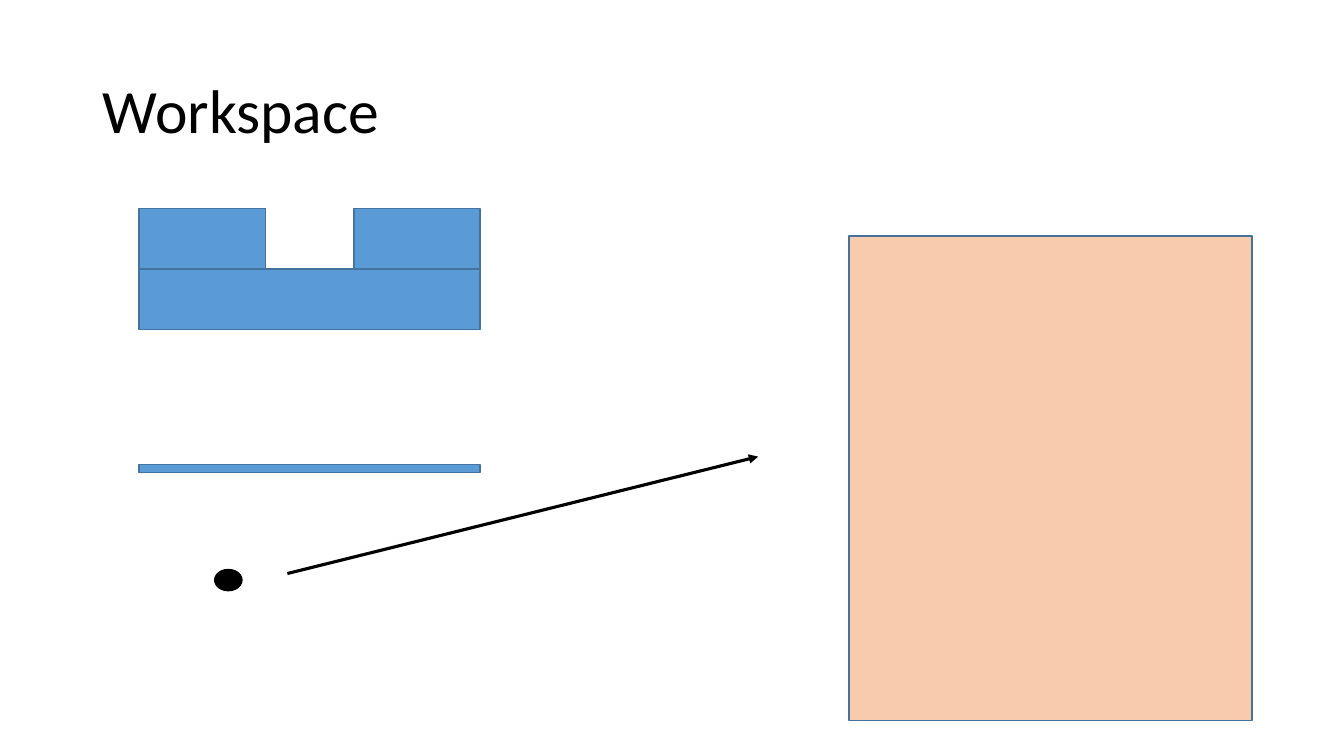
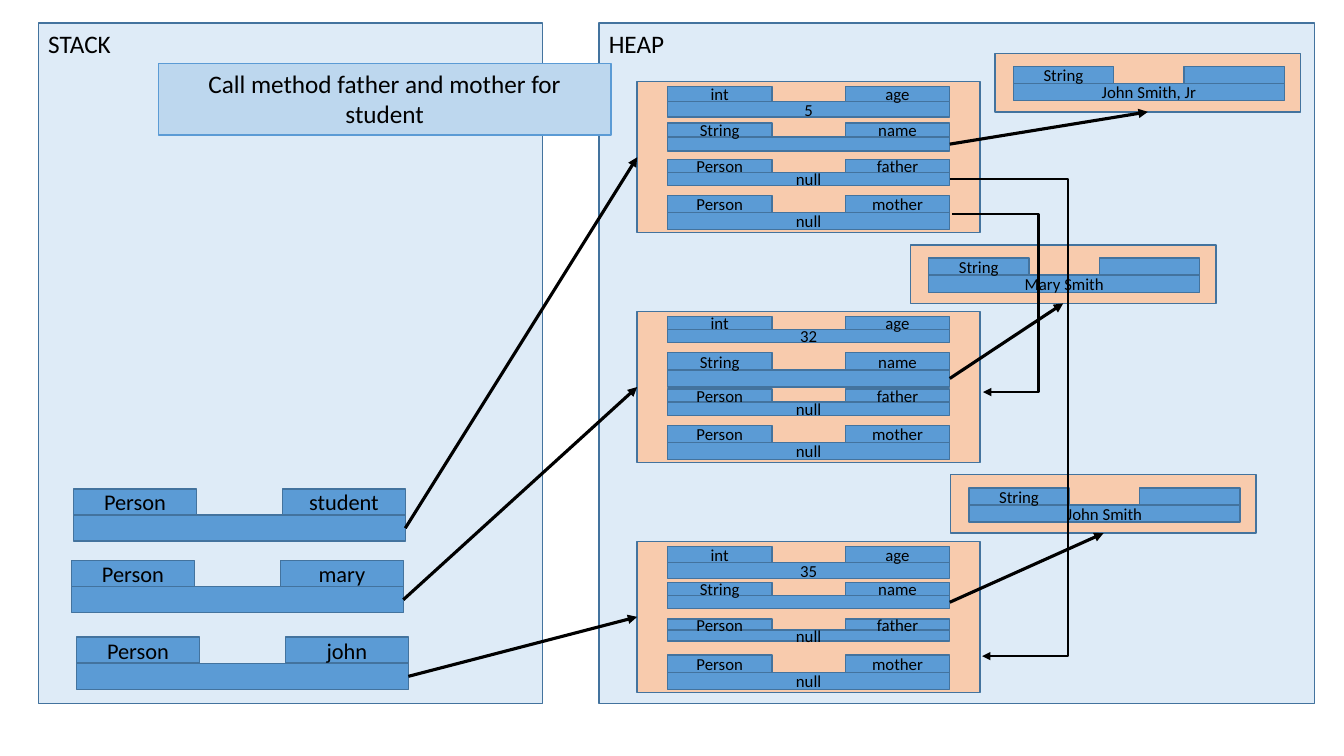
from lxml import etree
from pptx import Presentation
from pptx.dml.color import RGBColor
from pptx.enum.shapes import MSO_CONNECTOR, MSO_SHAPE
from pptx.enum.text import MSO_ANCHOR, PP_ALIGN
from pptx.oxml.ns import qn
from pptx.util import Inches, Pt

RECT, OVAL = MSO_SHAPE.RECTANGLE, MSO_SHAPE.OVAL
STRAIGHT, ELBOW = MSO_CONNECTOR.STRAIGHT, MSO_CONNECTOR.ELBOW
TOP, MIDDLE = MSO_ANCHOR.TOP, MSO_ANCHOR.MIDDLE
LEFT, CENTER = PP_ALIGN.LEFT, PP_ALIGN.CENTER

BLACK = RGBColor(0x00, 0x00, 0x00)
BLUE = RGBColor(0x5B, 0x9B, 0xD5)
OUTLINE = RGBColor(0x43, 0x73, 0x9E)
PEACH = RGBColor(0xF8, 0xCB, 0xAD)
PALE = RGBColor(0xDE, 0xEB, 0xF7)
LIGHT = RGBColor(0xBD, 0xD7, 0xEE)

FONT = "Calibri"
CELL_RATIO = 0.37  # type and name cells, as a share of the variable's width
STACK_W, STACK_H = 3.29, 0.26
PERSON_X, PERSON_W, PERSON_H = 6.32, 3.4, 1.5
FIELD_DX, FIELD_DY, FIELD_W, FIELD_PITCH = 0.3, 0.05, 2.8, 0.36
STRING_W, STRING_H = 3.03, 0.58


def write(tf, text, size, align=CENTER, anchor=MIDDLE):
    tf.word_wrap = True
    tf.vertical_anchor = anchor
    p = tf.paragraphs[0]
    p.alignment = align
    r = p.add_run()
    r.text = text
    for key, value in {"name": FONT, "size": Pt(size)}.items():
        setattr(r.font, key, value)
    r.font.color.rgb = BLACK
    return p


def box(shapes, x, y, w, h, fill=BLUE, line=OUTLINE, weight=1, kind=RECT):
    sp = shapes.add_shape(kind, Inches(x), Inches(y), Inches(w), Inches(h))
    sp.shadow.inherit = False
    sp.fill.solid()
    sp.fill.fore_color.rgb = fill
    sp.line.color.rgb = line
    sp.line.width = Pt(weight)
    return sp


def arrow(shapes, start, end, weight=2.25, bend_x=None):
    """Straight arrow, or an elbow whose vertical leg runs at bend_x."""
    (x1, y1), (x2, y2) = start, end
    kind = STRAIGHT if bend_x is None else ELBOW
    c = shapes.add_connector(kind, Inches(x1), Inches(y1), Inches(x2), Inches(y2))
    c.line.color.rgb = BLACK
    c.line.width = Pt(weight)
    etree.SubElement(c.line._get_or_add_ln(), qn("a:tailEnd"), type="triangle")
    props = c._element.spPr
    etree.SubElement(props, qn("a:effectLst"))
    if bend_x is not None:
        share = round((bend_x - x1) / (x2 - x1) * 100000)
        adjustments = props.find(qn("a:prstGeom")).find(qn("a:avLst"))
        etree.SubElement(adjustments, qn("a:gd"), name="adj1", fmla=f"val {share}")


def variable(shapes, x, y, w, h, kind="", name="", value="", size=12):
    """Type and name cells above a value cell; returns the value's right middle."""
    cell_w = w * CELL_RATIO
    for left, top, width, text in ((x, y + h, w, value),
                                   (x + w - cell_w, y, cell_w, name),
                                   (x, y, cell_w, kind)):
        sp = box(shapes, left, top, width, h)
        if text:
            write(sp.text_frame, text, size)
    return x + w, y + 1.5 * h


def string_object(s, x, y, value):
    """Returns the bottom centre of the object."""
    shapes = s.shapes.add_group_shape().shapes
    box(shapes, x, y, STRING_W, STRING_H, PEACH)
    variable(shapes, x + 0.18, y + 0.13, 2.69, 0.17, "String", value=value)
    return x + STRING_W / 2, y + STRING_H


def person_object(s, y, age, heights):
    """Returns the right middle of the name field's value."""
    shapes = s.shapes.add_group_shape().shapes
    box(shapes, PERSON_X, y, PERSON_W, PERSON_H, PEACH)
    fields = (("int", "age", age), ("String", "name", ""),
              ("Person", "father", "null"), ("Person", "mother", "null"))
    ends = [variable(shapes, PERSON_X + FIELD_DX, y + FIELD_DY + i * FIELD_PITCH,
                     FIELD_W, h, *field)
            for i, (field, h) in enumerate(zip(fields, heights))]
    return ends[1]


def workspace_slide(prs):
    s = prs.slides.add_slide(prs.slide_layouts[5])
    title = s.shapes.title
    place = {"left": 0.92, "top": 0.4, "width": 11.5, "height": 1.45}
    for key, value in place.items():
        setattr(title, key, Inches(value))
    write(title.text_frame, "Workspace", 44, LEFT).line_spacing = 0.9

    # Building parts: variable, bar, arrow, dot, object
    variable(s.shapes.add_group_shape().shapes, 1.38, 2.07, 3.38, 0.6)
    box(s.shapes, 1.38, 4.61, 3.38, 0.08)
    arrow(s.shapes, (2.85, 5.69), (7.52, 4.53))
    box(s.shapes, 2.13, 5.65, 0.27, 0.21, BLACK, BLACK, kind=OVAL)
    box(s.shapes, 8.42, 2.34, 4, 4.81, PEACH)


def memory_slide(prs):
    s = prs.slides.add_slide(prs.slide_layouts[6])

    # Stack and heap panels
    for x, w, label in ((0.38, 5, "STACK"), (5.94, 7.1, "HEAP")):
        panel = box(s.shapes, x, 0.23, w, 6.75, PALE)
        write(panel.text_frame, label, 18, LEFT, TOP)

    # Each person: stack variable, heap object, name string
    people = (
        ("student", (0.73, 4.85), 0.81, "5", (0.15, 0.14, 0.13, 0.17),
         (9.87, 0.53), "John Smith, Jr"),
        ("mary", (0.71, 5.56), 3.09, "32", (0.13, 0.17, 0.13, 0.17),
         (9.03, 2.43), "Mary Smith"),
        ("john", (0.76, 6.32), 5.37, "35", (0.16, 0.13, 0.11, 0.17),
         (9.43, 4.71), "John Smith"),
    )
    for name, (x, y), top, age, heights, string_at, full_name in people:
        group = s.shapes.add_group_shape()
        reference = variable(group.shapes, x, y, STACK_W, STACK_H,
                             "Person", name, size=16)
        name_field = person_object(s, top, age, heights)
        string_end = string_object(s, *string_at, full_name)
        arrow(s.shapes, reference, (PERSON_X, top + PERSON_H / 2))
        arrow(s.shapes, name_field, string_end)

    # Father and mother references
    arrow(s.shapes, (9.42, 1.78), (9.74, 6.51), 1.5, bend_x=10.59)
    arrow(s.shapes, (9.44, 2.12), (9.75, 3.89), 1.5, bend_x=10.3)

    # Callout
    note = box(s.shapes, 1.57, 0.63, 4.49, 0.71, LIGHT, BLUE, 0.75)
    write(note.text_frame, "Call method father and mother for student", 18, anchor=TOP)


def main():
    prs = Presentation()
    prs.slide_width, prs.slide_height = Inches(13.33), Inches(7.5)
    workspace_slide(prs)
    memory_slide(prs)
    prs.save("out.pptx")


if __name__ == "__main__":
    main()
